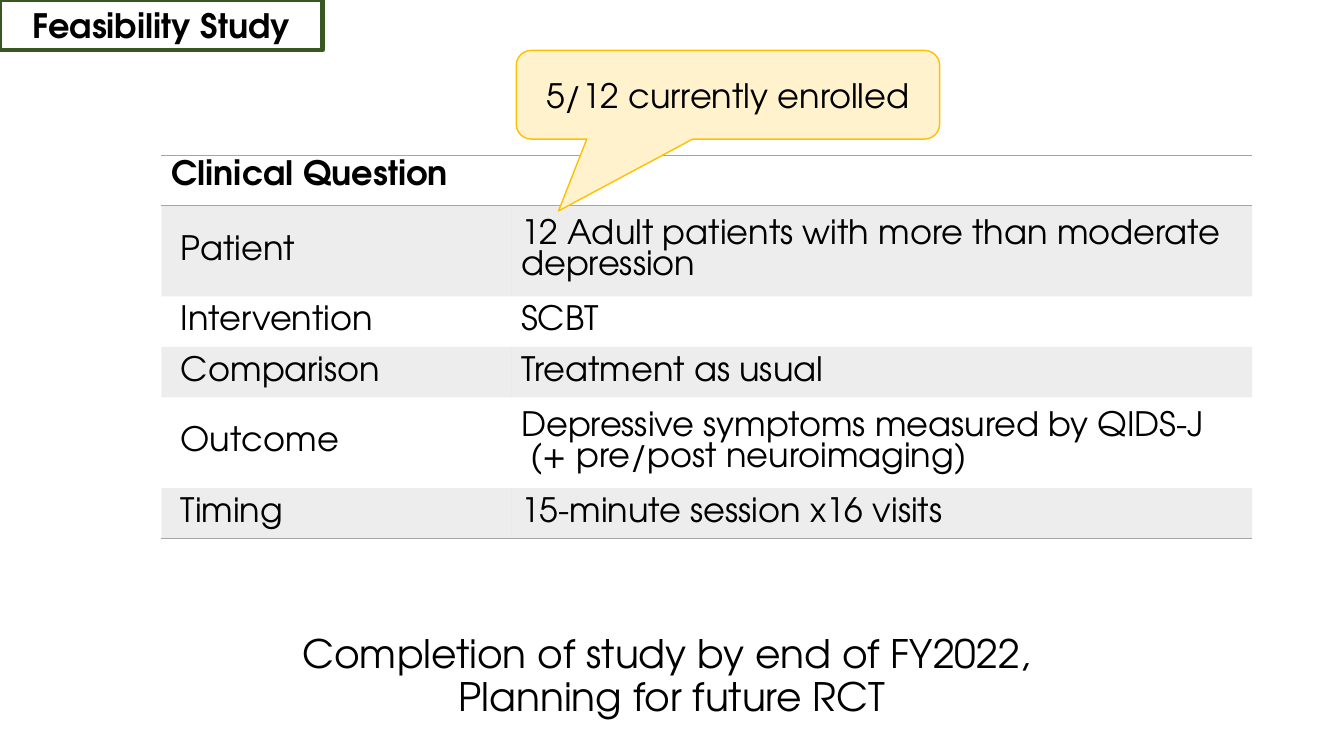
from lxml import etree
from pptx import Presentation
from pptx.dml.color import RGBColor
from pptx.enum import shapes, text
from pptx.oxml import ns
from pptx.util import Inches, Pt

COLORS = {"black": "000000", "green": "385723", "gray": "A5A5A5",
          "cream": "FFF2CC", "gold": "FFC000"}
FONT = "TeX Gyre Adventor"
NO_STYLE = "{2D5ABB26-0587-4C30-8999-92F81FD0307C}"


def add_run(p, words, size=24, bold=False):
    r = p.add_run()
    r.text = words
    r.font.name, r.font.size, r.font.bold = FONT, Pt(size), bold
    r.font.color.rgb = RGBColor.from_string(COLORS["black"])


def add_border(cell, side):
    """Draw a thin gray line on one side of a cell ("lnT" or "lnB")."""
    ln = etree.Element(ns.qn(f"a:{side}"), w=str(Pt(1)))
    fill = etree.SubElement(ln, ns.qn("a:solidFill"))
    etree.SubElement(fill, ns.qn("a:srgbClr"), val=COLORS["gray"])
    tcPr = cell._tc.get_or_add_tcPr()
    tcPr.insert(len(tcPr.findall(ns.qn("a:lnT"))), ln)


prs = Presentation()
prs.slide_width, prs.slide_height = Inches(13.33), Inches(7.5)
s = prs.slides.add_slide(prs.slide_layouts[6])

# Heading
heading = s.shapes.add_shape(shapes.MSO_SHAPE.RECTANGLE, 0, 0, Inches(3.2), Inches(0.5))
heading.shadow.inherit = False
heading.fill.background()
heading.line.color.rgb = RGBColor.from_string(COLORS["green"])
heading.line.width = Pt(3)
tf = heading.text_frame
tf.auto_size = text.MSO_AUTO_SIZE.SHAPE_TO_FIT_TEXT
tf.vertical_anchor = text.MSO_ANCHOR.TOP
tf.paragraphs[0].alignment = text.PP_ALIGN.CENTER
add_run(tf.paragraphs[0], "Feasibility Study", bold=True)

# Clinical question table
rows = [
    ("Clinical Question", ""),
    (" Patient", "12 Adult patients with more than moderate depression"),
    (" Intervention", "SCBT"),
    (" Comparison", "Treatment as usual"),
    (" Outcome", "Depressive symptoms measured by QIDS-J\n (+ pre/post neuroimaging)"),
    (" Timing", "15-minute session x16 visits"),
]
heights = [0.5, 0.9, 0.5, 0.5, 0.9, 0.5]
table = s.shapes.add_table(len(rows), 2, Inches(1.6), Inches(1.54),
                           Inches(10.82), Inches(3.8)).table
table._tbl.tblPr.find(ns.qn("a:tableStyleId")).text = NO_STYLE
table.first_row = table.horz_banding = False
table.columns[0].width, table.columns[1].width = Inches(3.47), Inches(7.35)
table.cell(0, 0).merge(table.cell(0, 1))

for i, row in enumerate(rows):
    table.rows[i].height = Inches(heights[i])
    for j, words in enumerate(row):
        cell = table.cell(i, j)
        if i % 2:
            cell.fill.solid()
            cell.fill.fore_color.rgb = RGBColor.from_string(COLORS["gray"])
            color = cell._tc.tcPr.find(".//" + ns.qn("a:srgbClr"))
            etree.SubElement(color, ns.qn("a:alpha"), val="20000")
        else:
            cell.fill.background()
        if i == 0:
            add_border(cell, "lnT")
        if i in (0, len(rows) - 1):
            add_border(cell, "lnB")
        cell.vertical_anchor = text.MSO_ANCHOR.MIDDLE if i else text.MSO_ANCHOR.TOP
        if not words:
            continue
        tf = cell.text_frame
        for k, line in enumerate(words.split("\n")):
            p = tf.add_paragraph() if k else tf.paragraphs[0]
            add_run(p, line, bold=i == 0)

# Enrolment callout
callout = s.shapes.add_shape(shapes.MSO_SHAPE.ROUNDED_RECTANGULAR_CALLOUT,
                             Inches(5.12), Inches(0.5), Inches(4.2), Inches(0.88))
for i, value in enumerate((-0.4, 1.31, 0.17)):
    callout.adjustments[i] = value
callout.shadow.inherit = False
callout.fill.solid()
callout.fill.fore_color.rgb = RGBColor.from_string(COLORS["cream"])
callout.line.color.rgb = RGBColor.from_string(COLORS["gold"])
callout.line.width = Pt(1)
tf = callout.text_frame
tf.vertical_anchor = text.MSO_ANCHOR.MIDDLE
tf.paragraphs[0].alignment = text.PP_ALIGN.CENTER
add_run(tf.paragraphs[0], "5/12 currently enrolled")

# Outlook
tf = s.shapes.add_textbox(Inches(1.26), Inches(6.25), Inches(10.81), Inches(0.98)).text_frame
tf.word_wrap = True
p = tf.paragraphs[0]
p.alignment = text.PP_ALIGN.CENTER
p.line_spacing = 0.9
add_run(p, "Completion of study by end of FY2022, ", size=28)
p.add_line_break()
add_run(p, "Planning for future RCT", size=28)

prs.save("out.pptx")
